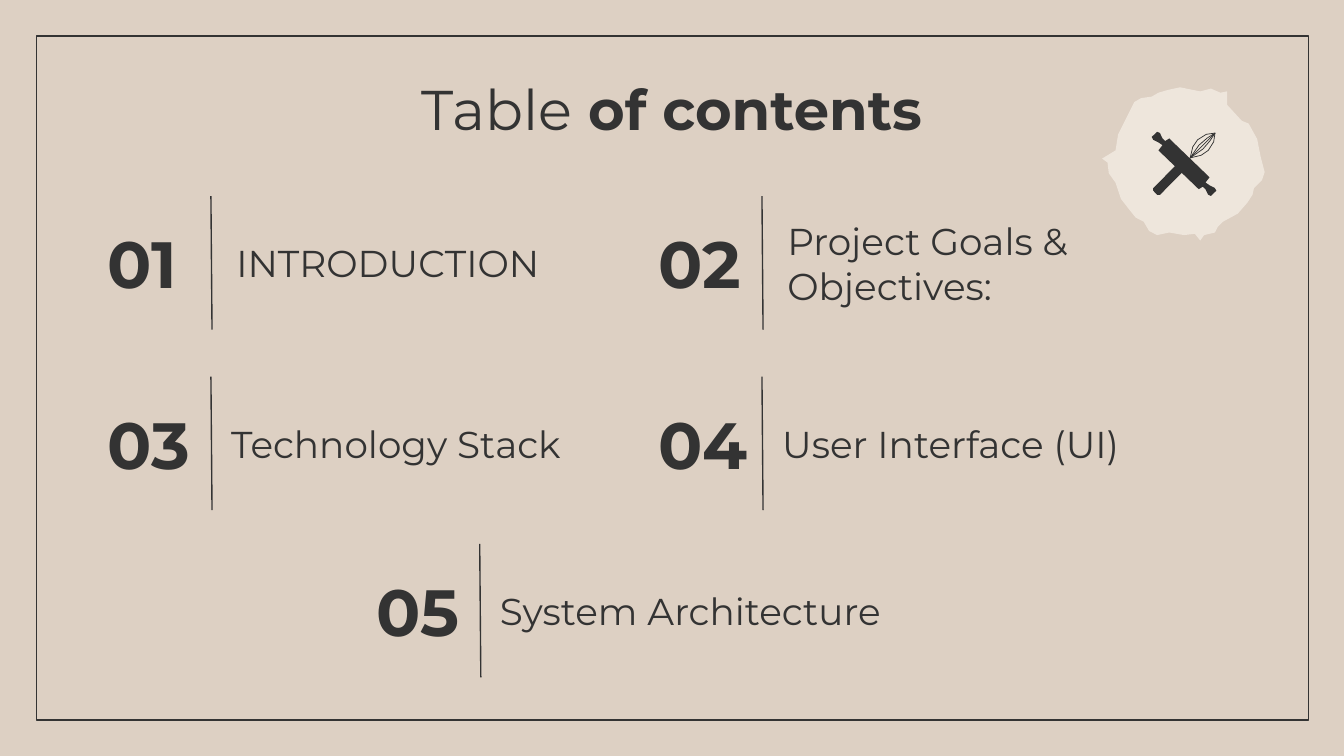
from typing import NamedTuple

from lxml import etree
from pptx import Presentation
from pptx.dml.color import RGBColor
from pptx.enum.shapes import MSO_CONNECTOR, MSO_SHAPE
from pptx.enum.text import MSO_ANCHOR, PP_ALIGN
from pptx.oxml.ns import qn
from pptx.util import Pt

RECT = MSO_SHAPE.RECTANGLE
LINE = MSO_CONNECTOR.STRAIGHT
MID = MSO_ANCHOR.MIDDLE
LEFT, CENTER = PP_ALIGN.LEFT, PP_ALIGN.CENTER
SAND = RGBColor(0xDD, 0xD0, 0xC3)
CREAM = RGBColor(0xFE, 0xF9, 0xF3)
DARK = RGBColor(0x33, 0x33, 0x33)
FACE = "Montserrat"

Dots = list[tuple[float, float]]


class Box(NamedTuple):
    left: float
    top: float
    width: float
    height: float


class Run(NamedTuple):
    text: str
    size: float
    bold: bool = False


class Item(NamedTuple):
    num: str
    name: str
    left: float
    top: float
    gap: float


ITEMS = [
    Item("01", "INTRODUCTION", 50.4, 105.1, 69.1),
    Item("02", "Project Goals & Objectives:", 345.6, 105.1, 69.1),
    Item("03", "Technology Stack", 50.4, 201.8, 66.4),
    Item("04", "User Interface (UI)", 345.6, 201.8, 66.4),
    Item("05", "System Architecture", 194.4, 291.4, 66.4),
]

BLOB = [
    (632.2, 46.8), (625.7, 48.2), (620.6, 49.7), (617, 51.8), (611.3, 52.6),
    (607.7, 54.7), (604.1, 61.9), (599, 72), (597.6, 80.6), (590.4, 85),
    (593.3, 87.1), (594, 92.9), (597.6, 97.9), (600.5, 106.6), (605.5, 113),
    (608.4, 116.6), (612.7, 118.8), (615.6, 123.8), (619.9, 126),
    (626.4, 124.6), (634.3, 126), (640.1, 125.3), (643, 128.9), (645.1, 126),
    (650.9, 124.6), (652.3, 121.7), (655.2, 118.8), (663.1, 114.5),
    (668.2, 108.7), (671, 104.4), (671.8, 100.8), (676.1, 96.5),
    (677.5, 92.2), (675.4, 84.2), (673.5, 74.5), (668.9, 66.2),
    (665.3, 64.8), (657.4, 56.2), (657.4, 49), (653.8, 49.7),
    (648.7, 47.5), (643, 49),
]
HALF = [
    (620.6, 80.6), (622.8, 77.8), (620.6, 76.3), (617.8, 74.9), (617, 73.4),
    (618.5, 72), (619.9, 70.6), (621.4, 71.3), (622.8, 74.2),
    (624.2, 75.6), (626.4, 74.2),
]
MIDX, MIDY = 634.3, 87.8
PIN = HALF + [(2 * MIDX - x, 2 * MIDY - y) for x, y in HALF]
GRIP = [
    (631.4, 87.1), (617.8, 100.8), (617.8, 102.2), (619.9, 104.4),
    (621.4, 104.4), (634.3, 91.4), (635, 90), (632.2, 87.1),
]
AXIS = 722.2
WIRES = [
    [(637.6, 84.6), (643.5, 83.2), (647.3, 80.6), (650.2, 76), (650.9, 71.3)],
    [(637.6, 84.6), (644.4, 79.9), (648.2, 75.5), (650.9, 71.3)],
]


def write(slide, box: Box, runs: list[Run], align=LEFT) -> None:
    frame = slide.shapes.add_textbox(*map(Pt, box)).text_frame
    style = {"word_wrap": True, "vertical_anchor": MID}
    for side in ("left", "right", "top", "bottom"):
        style[f"margin_{side}"] = Pt(7.2)
    for key, val in style.items():
        setattr(frame, key, val)
    para = frame.paragraphs[0]
    para.alignment = align
    for part in runs:
        run = para.add_run()
        run.text = part.text
        look = {"name": FACE, "size": Pt(part.size), "bold": part.bold}
        for key, val in look.items():
            setattr(run.font, key, val)
        run.font.color.rgb = DARK


def rule(slide, start: tuple[float, float], end: tuple[float, float],
         width: float) -> None:
    line = slide.shapes.add_connector(LINE, *map(Pt, start + end))
    line.line.color.rgb = DARK
    line.line.width = Pt(width)
    etree.SubElement(line._element.spPr, qn("a:effectLst"))


def paint(shape, fill: RGBColor | None, width: float = 0) -> None:
    shape.shadow.inherit = False
    if fill is None:
        shape.fill.background()
    else:
        shape.fill.solid()
        shape.fill.fore_color.rgb = fill
    if width:
        shape.line.color.rgb = DARK
        shape.line.width = Pt(width)
    else:
        shape.line.fill.background()


def trace(slide, dots: Dots, fill: RGBColor | None, width: float = 0):
    spots = [(Pt(x), Pt(y)) for x, y in dots]
    pen = slide.shapes.build_freeform(*spots[0], scale=1.0)
    pen.add_line_segments(spots[1:], close=True)
    shape = pen.convert_to_shape()
    paint(shape, fill, width)
    return shape


def badge(slide) -> None:
    blob = trace(slide, BLOB, CREAM)
    tint = blob._element.spPr.find(f"{qn('a:solidFill')}/{qn('a:srgbClr')}")
    etree.SubElement(tint, qn("a:alpha"), val="54000")
    for dots in (PIN, GRIP):
        trace(slide, dots, DARK)
    for wire in WIRES:
        twin = [(AXIS - y, AXIS - x) for x, y in reversed(wire[1:-1])]
        trace(slide, wire + twin, None, 0.4)
    rule(slide, (633.6, 88.6), (650.9, 71.3), 0.4)


def entry(slide, item: Item) -> None:
    left, top = item.left, item.top
    write(slide, Box(left + item.gap, top + 21.6, 225.4, 28.1),
          [Run(item.name, 20)])
    write(slide, Box(left, top, 63.4, 71.3), [Run(item.num, 35, True)])
    rule(slide, (left + 62.6, top), (left + 63.2, top + 71.5), 0.75)


def main() -> None:
    deck = Presentation()
    deck.slide_width, deck.slide_height = Pt(720), Pt(405)
    slide = deck.slides.add_slide(deck.slide_layouts[6])
    back = slide.background.fill
    back.solid()
    back.fore_color.rgb = SAND
    frame = slide.shapes.add_shape(RECT, *map(Pt, Box(19.4, 19.4, 681.6, 366.4)))
    paint(frame, None, 0.75)
    badge(slide)
    write(slide, Box(56.7, 35.3, 606.6, 45.4),
          [Run("Table", 30), Run(" of contents", 30, True)], CENTER)
    for item in ITEMS:
        entry(slide, item)
    deck.save("out.pptx")


if __name__ == "__main__":
    main()
